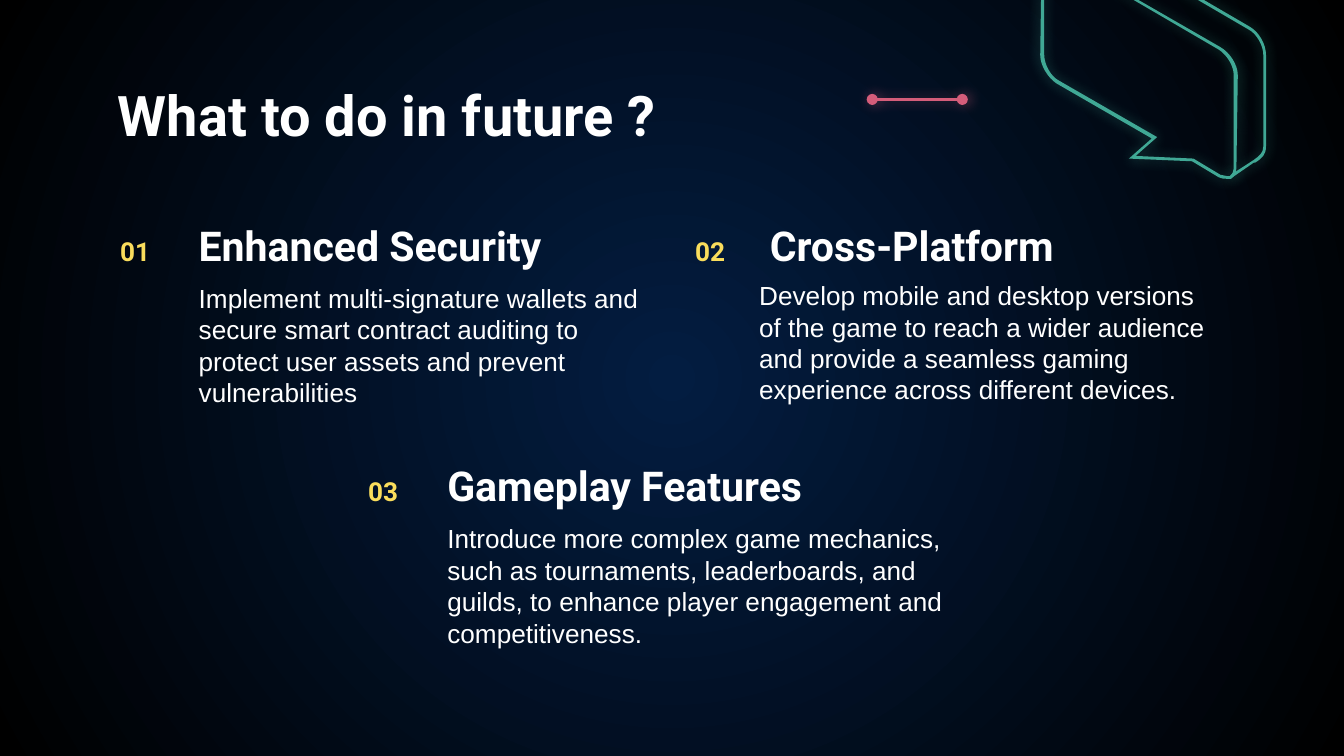
from lxml import etree
from pptx import Presentation
from pptx.dml.color import RGBColor
from pptx.enum.shapes import MSO_CONNECTOR
from pptx.enum.text import MSO_ANCHOR, PP_ALIGN
from pptx.oxml import parse_xml
from pptx.oxml.ns import nsdecls, qn
from pptx.util import Inches, Pt

STRAIGHT = MSO_CONNECTOR.STRAIGHT
TOP, MIDDLE = MSO_ANCHOR.TOP, MSO_ANCHOR.MIDDLE
LEFT, CENTER = PP_ALIGN.LEFT, PP_ALIGN.CENTER
COLORS = {"navy": "031D41", "black": "000000", "white": "FFFFFF",
          "yellow": "FADD5C", "teal": "40A895", "pink": "D55D7A"}
HUES = {name: RGBColor.from_string(code) for name, code in COLORS.items()}

STYLES = {
    "title": ({"name": "Roboto", "size": Pt(30), "bold": True}, "white", LEFT, MIDDLE, 0.1),
    "head": ({"name": "Roboto", "size": Pt(22), "bold": True}, "white", LEFT, MIDDLE, 0.1),
    "body": ({"name": "Arial", "size": Pt(14), "bold": False}, "white", LEFT, TOP, 0.1),
    "number": ({"name": "Roboto", "size": Pt(14), "bold": True}, "yellow", CENTER, TOP, 0.05),
}

deck = Presentation()
deck.slide_width, deck.slide_height = Inches(10), Inches(5.625)
slide = deck.slides.add_slide(deck.slide_layouts[6])

back = slide.background.fill
back.gradient()
for stop, hue, place in zip(back.gradient_stops, ("navy", "black"), (0, 1)):
    stop.color.rgb = HUES[hue]
    stop.position = place
lin = slide.element.find(".//" + qn("a:lin"))
lin.getparent().replace(lin, parse_xml(
    f'<a:path {nsdecls("a")} path="circle">'
    '<a:fillToRect l="50000" t="50000" r="50000" b="50000"/></a:path>'))


def write(style, text, left, top, width, height):
    values, hue, align, anchor, pad = STYLES[style]
    box = slide.shapes.add_textbox(Inches(left), Inches(top), Inches(width), Inches(height))
    frame = box.text_frame
    frame.word_wrap = True
    frame.vertical_anchor = anchor
    frame.margin_top = frame.margin_bottom = Inches(pad)
    line = frame.paragraphs[0]
    line.alignment = align
    run = line.add_run()
    run.text = text
    for key, value in values.items():
        setattr(run.font, key, value)
    run.font.color.rgb = HUES[hue]


def glow(shape, hue, dist):
    props = shape._element.spPr
    for old in props.findall(qn("a:effectLst")):
        props.remove(old)
    props.append(parse_xml(
        f'<a:effectLst {nsdecls("a")}><a:outerShdw blurRad="{Pt(6.8)}" dist="{Pt(dist)}" '
        f'dir="0" algn="bl" rotWithShape="0"><a:srgbClr val="{COLORS[hue]}">'
        '<a:alpha val="50000"/></a:srgbClr></a:outerShdw></a:effectLst>'))


ITEMS = [
    ("01", (0.78, 1.7, 0.45, 0.3), "Enhanced Security", (1.38, 1.64), (1.38, 2, 3.59, 0.89),
     "Implement multi-signature wallets and secure smart contract auditing to "
     "protect user assets and prevent vulnerabilities"),
    ("02", (5.02, 1.7, 0.53, 0.24), "Cross-Platform", (5.63, 1.64), (5.55, 1.98, 3.59, 0.89),
     "Develop mobile and desktop versions of the game to reach a wider audience "
     "and provide a seamless gaming experience across different devices."),
    ("03", (2.56, 3.49, 0.58, 0.3), "Gameplay Features", (3.23, 3.43), (3.23, 3.79, 4.25, 0.89),
     "Introduce more complex game mechanics, such as tournaments, leaderboards, "
     "and guilds, to enhance player engagement and competitiveness."),
]
for number, spot, head, corner, area, body in ITEMS:
    write("head", head, *corner, 3.59, 0.36)
    write("body", body, *area)
write("title", "What to do in future ?", 0.78, 0.59, 8.44, 0.52)
for number, spot, *rest in ITEMS:
    write("number", number, *spot)

FRONT = [
    [(7.82, -0.34), (7.83, -0.34, 7.85, -0.34, 7.87, -0.33), (9.07, 0.37),
     (9.13, 0.41, 9.18, 0.49, 9.18, 0.56), (9.18, 1.24), (9.18, 1.27, 9.17, 1.3, 9.15, 1.31),
     (9.15, 1.31, 9.14, 1.31, 9.13, 1.31), (9.11, 1.31, 9.1, 1.31, 9.08, 1.3),
     (8.88, 1.18), (8.45, 1.16), (8.61, 1.02), (7.88, 0.6),
     (7.82, 0.57, 7.77, 0.48, 7.77, 0.41), (7.77, -0.27),
     (7.77, -0.3, 7.78, -0.32, 7.8, -0.33), (7.8, -0.34, 7.81, -0.34, 7.82, -0.34)],
    [(7.82, -0.36), (7.81, -0.36, 7.8, -0.36, 7.79, -0.35),
     (7.76, -0.34, 7.75, -0.31, 7.75, -0.27), (7.74, 0.41),
     (7.74, 0.49, 7.8, 0.58, 7.86, 0.62), (8.57, 1.03), (8.4, 1.18), (8.87, 1.2),
     (9.07, 1.32), (9.09, 1.33, 9.11, 1.33, 9.13, 1.33), (9.14, 1.33, 9.15, 1.33, 9.16, 1.33),
     (9.19, 1.31, 9.2, 1.28, 9.2, 1.24), (9.21, 0.56),
     (9.21, 0.48, 9.15, 0.39, 9.08, 0.35), (7.88, -0.34),
     (7.86, -0.36, 7.84, -0.36, 7.82, -0.36)],
]
SIDE = [
    [(8.04, -0.52), (8.01, -0.52, 7.99, -0.5, 7.96, -0.48), (7.95, -0.47, 7.95, -0.47, 7.94, -0.46),
     (7.78, -0.35), (7.78, -0.35, 7.78, -0.34, 7.78, -0.34),
     (7.78, -0.33, 7.79, -0.33, 7.79, -0.33), (7.79, -0.33, 7.8, -0.33, 7.8, -0.33),
     (7.95, -0.44), (7.96, -0.45, 7.97, -0.45, 7.97, -0.46),
     (8, -0.48, 8.02, -0.49, 8.04, -0.49), (8.06, -0.49, 8.07, -0.49, 8.09, -0.48),
     (9.29, 0.22), (9.35, 0.25, 9.4, 0.34, 9.4, 0.41), (9.4, 1.09),
     (9.4, 1.14, 9.37, 1.16, 9.33, 1.19), (9.16, 1.3), (9.15, 1.31, 9.15, 1.32, 9.17, 1.32),
     (9.17, 1.32, 9.17, 1.32, 9.17, 1.32), (9.33, 1.21), (9.34, 1.21),
     (9.39, 1.18, 9.42, 1.15, 9.42, 1.09), (9.42, 0.41),
     (9.42, 0.33, 9.37, 0.24, 9.3, 0.2), (8.1, -0.5), (8.08, -0.51, 8.06, -0.52, 8.04, -0.52)],
]
for loops in (FRONT, SIDE):
    x, y = loops[0][0]
    pen = slide.shapes.build_freeform(Inches(x), Inches(y))
    for place, (start, *parts) in enumerate(loops):
        if place:
            pen.move_to(Inches(start[0]), Inches(start[1]))
        pen.add_line_segments([(Inches(part[-2]), Inches(part[-1])) for part in parts], close=True)
    panel = pen.convert_to_shape()
    parts = [part for loop in loops for part in loop[1:]]
    for leg, part in zip(list(panel._element.iter(qn("a:lnTo"))), parts):
        if len(part) == 6:
            curve = etree.Element(qn("a:cubicBezTo"))
            for x, y in zip(part[::2], part[1::2]):
                etree.SubElement(curve, qn("a:pt"), x=str(Inches(x) - panel.left),
                                 y=str(Inches(y) - panel.top))
            leg.getparent().replace(leg, curve)
    panel.fill.solid()
    panel.fill.fore_color.rgb = HUES["teal"]
    panel.line.fill.background()
    glow(panel, "teal", 0)

bar = slide.shapes.add_connector(STRAIGHT, Inches(6.49), Inches(0.74), Inches(7.16), Inches(0.74))
bar.line.color.rgb = HUES["pink"]
bar.line.width = Pt(1.5)
for end in ("a:headEnd", "a:tailEnd"):
    etree.SubElement(bar.line._get_or_add_ln(), qn(end), type="oval")
glow(bar, "pink", 1.5)

deck.save("out.pptx")
